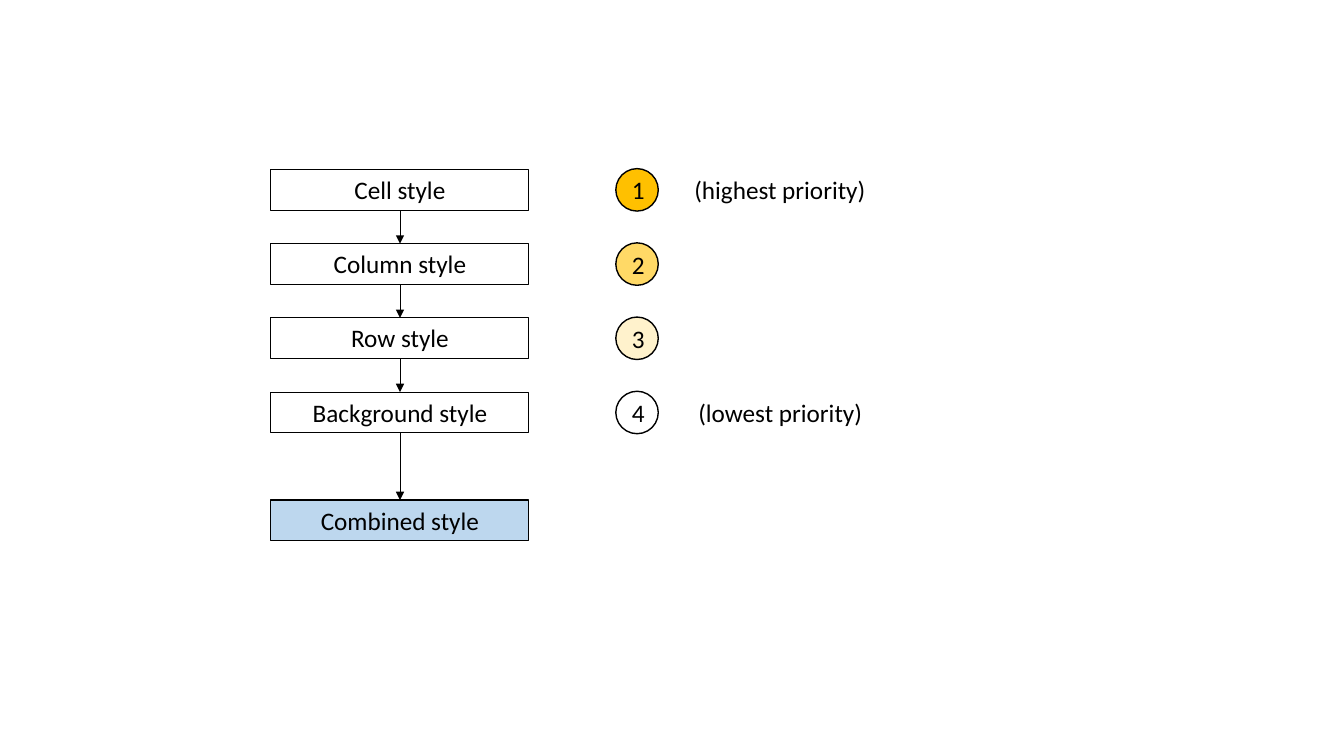
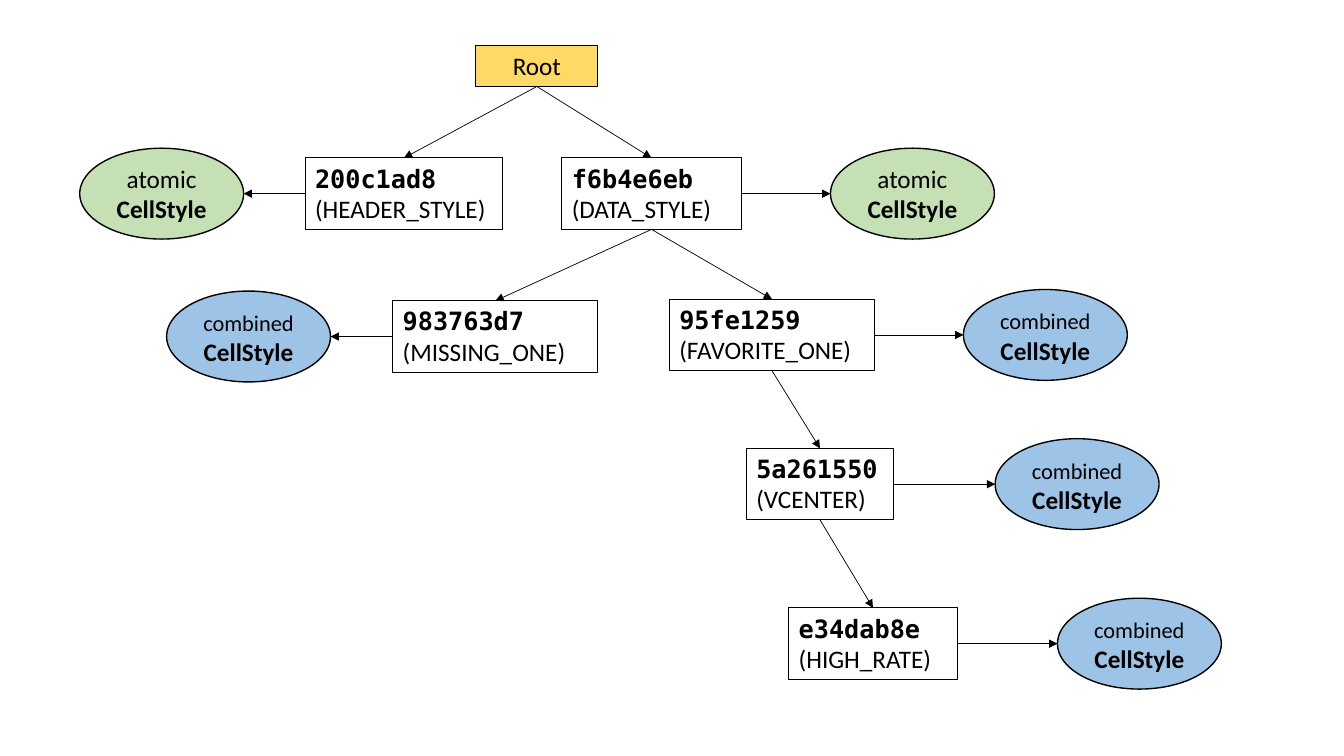
from dataclasses import dataclass

from lxml.etree import SubElement
from pptx import Presentation
from pptx.dml.color import RGBColor
from pptx.enum.shapes import MSO_CONNECTOR, MSO_SHAPE
from pptx.enum.text import MSO_ANCHOR, MSO_AUTO_SIZE, PP_ALIGN
from pptx.oxml.ns import qn
from pptx.shapes.autoshape import Shape
from pptx.slide import Slide
from pptx.util import Cm, Pt

BLACK = "000000"
GOLD, AMBER, CREAM = "FFC000", "FFD966", "FFF2CC"
PALE_BLUE, BLUE, GREEN = "BDD7EE", "9DC3E6", "C5E0B4"
BODY_FONT, HASH_FONT = "Calibri", "DejaVu Sans Mono"
TEXT_SIZE = 18

LINE_BOX_HEIGHT = 1.03
NODE_HEIGHT = 1.8
STYLE_WIDTH, STYLE_HEIGHT = 4.13, 2.29

# Connection sites of a rectangle
TOP, LEFT, BOTTOM, RIGHT = range(4)


@dataclass(frozen=True)
class Run:
    text: str
    size: float = TEXT_SIZE
    font: str = BODY_FONT
    bold: bool = False


@dataclass(frozen=True)
class Level:
    label: str
    badge_fill: str | None


@dataclass(frozen=True)
class Node:
    """A tree node with the cell style that it points to."""
    key: str
    alias: str
    parent: str
    left: float
    top: float
    width: float
    style_left: float
    combined: bool = True


LEVELS = [
    Level("Cell style", GOLD),
    Level("Column style", AMBER),
    Level("Row style", CREAM),
    Level("Background style", None),
]

ROOT = "Root"
NODES = [
    Node("200c1ad8", "HEADER_STYLE", ROOT, 7.69, 3.98, 4.98, 2.01, combined=False),
    Node("f6b4e6eb", "DATA_STYLE", ROOT, 14.16, 3.98, 4.52, 20.93, combined=False),
    Node("983763d7", "MISSING_ONE", "f6b4e6eb", 9.9, 7.58, 5.17, 4.2),
    Node("95fe1259", "FAVORITE_ONE", "f6b4e6eb", 16.87, 7.54, 5.17, 24.28),
    Node("5a261550", "VCENTER", "95fe1259", 18.81, 11.3, 3.71, 25.08),
    Node("e34dab8e", "HIGH_RATE", "5a261550", 19.88, 15.32, 4.24, 26.65),
]

ATOMIC_TEXT = [Run("atomic "), Run("CellStyle", bold=True)]
COMBINED_TEXT = [Run("combined", size=16), Run(" "), Run("CellStyle", bold=True)]


def color(hex_code: str) -> RGBColor:
    return RGBColor.from_string(hex_code)


def write_text(shape: Shape, runs: list[Run], *, align: PP_ALIGN = PP_ALIGN.CENTER,
               anchor: MSO_ANCHOR = MSO_ANCHOR.TOP, wrap: bool = True,
               grow: bool = True) -> None:
    frame = shape.text_frame
    frame.word_wrap = wrap
    frame.auto_size = MSO_AUTO_SIZE.SHAPE_TO_FIT_TEXT if grow else MSO_AUTO_SIZE.NONE
    frame.vertical_anchor = anchor
    paragraph = frame.paragraphs[0]
    paragraph.alignment = align
    for part in runs:
        run = paragraph.add_run()
        run.text = part.text
        run.font.size = Pt(part.size)
        run.font.name = part.font
        run.font.bold = part.bold
        run.font.color.rgb = color(BLACK)


def add_outlined(slide: Slide, kind: MSO_SHAPE, left: float, top: float, width: float,
                 height: float, fill: str | None, line_width: float) -> Shape:
    shape = slide.shapes.add_shape(kind, Cm(left), Cm(top), Cm(width), Cm(height))
    shape.shadow.inherit = False
    if fill:
        shape.fill.solid()
        shape.fill.fore_color.rgb = color(fill)
    else:
        shape.fill.background()
    shape.line.color.rgb = color(BLACK)
    shape.line.width = Pt(line_width)
    return shape


def add_box(slide: Slide, runs: list[Run], left: float, top: float, width: float,
            height: float = LINE_BOX_HEIGHT, fill: str | None = None,
            align: PP_ALIGN = PP_ALIGN.CENTER) -> Shape:
    box = add_outlined(slide, MSO_SHAPE.RECTANGLE, left, top, width, height, fill, 0.75)
    write_text(box, runs, align=align)
    return box


def add_ellipse(slide: Slide, runs: list[Run], left: float, middle: float, width: float,
                height: float, fill: str | None) -> Shape:
    """Add an ellipse whose vertical centre is at middle."""
    ellipse = add_outlined(slide, MSO_SHAPE.OVAL, left, middle - height / 2,
                           width, height, fill, 1)
    write_text(ellipse, runs, anchor=MSO_ANCHOR.MIDDLE, grow=False)
    return ellipse


def add_note(slide: Slide, text: str, left: float, top: float, width: float) -> None:
    note = slide.shapes.add_textbox(Cm(left), Cm(top), Cm(width), Cm(LINE_BOX_HEIGHT))
    write_text(note, [Run(text)], align=PP_ALIGN.LEFT, wrap=False)


def side_point(shape: Shape, side: int) -> tuple[int, int]:
    center = shape.left + shape.width // 2
    middle = shape.top + shape.height // 2
    return {
        TOP: (center, shape.top),
        LEFT: (shape.left, middle),
        BOTTOM: (center, shape.top + shape.height),
        RIGHT: (shape.left + shape.width, middle),
    }[side]


def add_arrow(slide: Slide, source: Shape, source_side: int,
              target: Shape, target_side: int) -> None:
    """Draw an arrow between two sides, attached to the rectangles it touches."""
    arrow = slide.shapes.add_connector(
        MSO_CONNECTOR.STRAIGHT,
        *side_point(source, source_side), *side_point(target, target_side))
    arrow.begin_connect(source, source_side)
    if target.auto_shape_type == MSO_SHAPE.RECTANGLE:
        arrow.end_connect(target, target_side)
    arrow.line.color.rgb = color(BLACK)
    arrow.line.width = Pt(0.5)
    SubElement(arrow.line._get_or_add_ln(), qn("a:tailEnd"), type="triangle")
    SubElement(arrow._element.spPr, qn("a:effectLst"))


def build_priority_slide(slide: Slide) -> None:
    left, first_top, width, step = 6.83, 4.27, 6.5, 1.87
    badge_left, badge_size = 15.52, 1.07
    boxes = []
    for index, level in enumerate(LEVELS):
        top = first_top + index * step
        boxes.append(add_box(slide, [Run(level.label)], left, top, width))
        add_ellipse(slide, [Run(str(index + 1))], badge_left, top + LINE_BOX_HEIGHT / 2,
                    badge_size, badge_size, level.badge_fill)
    boxes.append(add_box(slide, [Run("Combined style")], left, 12.6, width,
                         fill=PALE_BLUE))
    for upper, lower in zip(boxes, boxes[1:]):
        add_arrow(slide, upper, BOTTOM, lower, TOP)
    add_note(slide, "(highest priority)", 17.25, first_top, 4.88)
    add_note(slide, "(lowest priority)", 17.35, first_top + 3 * step, 4.67)


def build_tree_slide(slide: Slide) -> None:
    boxes = {ROOT: add_box(slide, [Run(ROOT)], 11.99, 1.15, 3.08, fill=AMBER)}
    for node in NODES:
        label = [Run(f"{node.key} ", font=HASH_FONT, bold=True), Run(f"({node.alias})")]
        box = add_box(slide, label, node.left, node.top, node.width, NODE_HEIGHT,
                      align=PP_ALIGN.LEFT)
        boxes[node.key] = box
        add_arrow(slide, boxes[node.parent], BOTTOM, box, TOP)

        style = add_ellipse(slide, COMBINED_TEXT if node.combined else ATOMIC_TEXT,
                            node.style_left, node.top + NODE_HEIGHT / 2,
                            STYLE_WIDTH, STYLE_HEIGHT, BLUE if node.combined else GREEN)
        if node.style_left < node.left:
            add_arrow(slide, box, LEFT, style, RIGHT)
        else:
            add_arrow(slide, box, RIGHT, style, LEFT)


def main() -> None:
    presentation = Presentation()
    presentation.slide_width = Cm(33.87)
    presentation.slide_height = Cm(19.05)
    blank_layout = presentation.slide_layouts[6]
    for build in (build_priority_slide, build_tree_slide):
        build(presentation.slides.add_slide(blank_layout))
    presentation.save("out.pptx")


if __name__ == "__main__":
    main()
